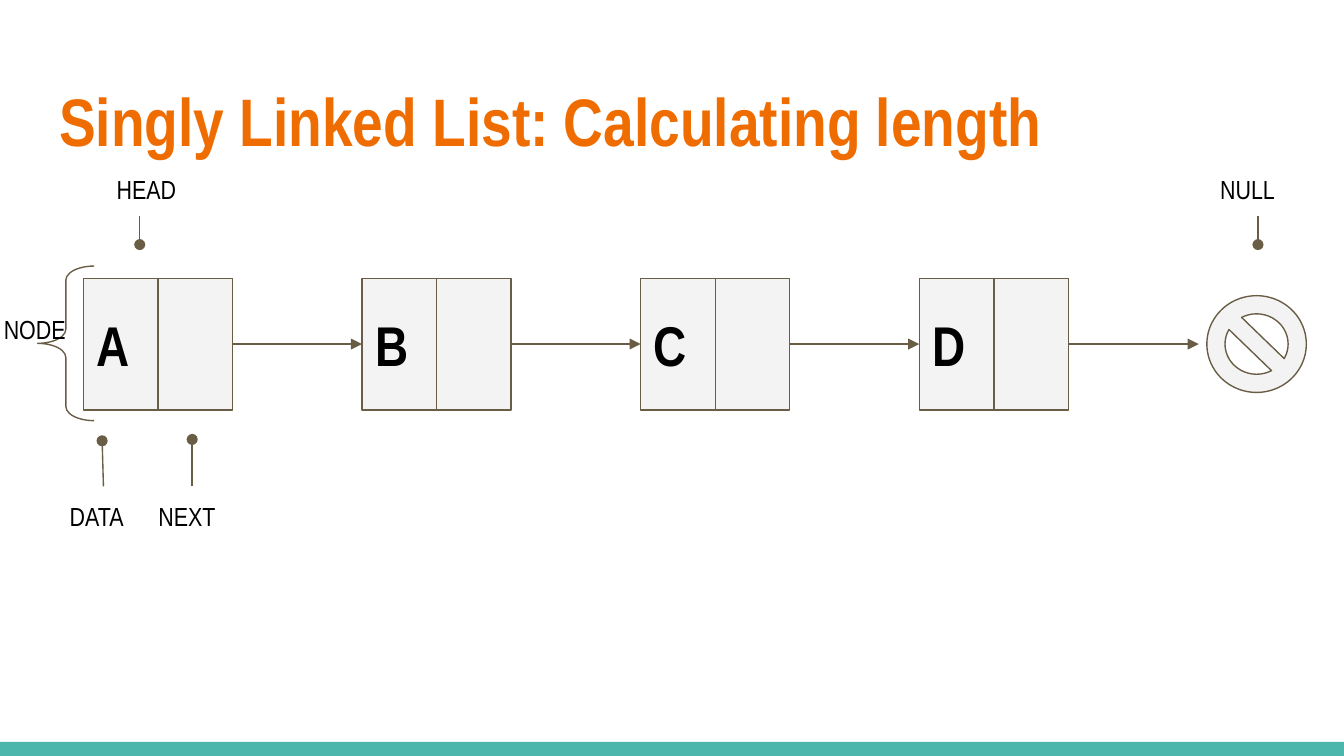
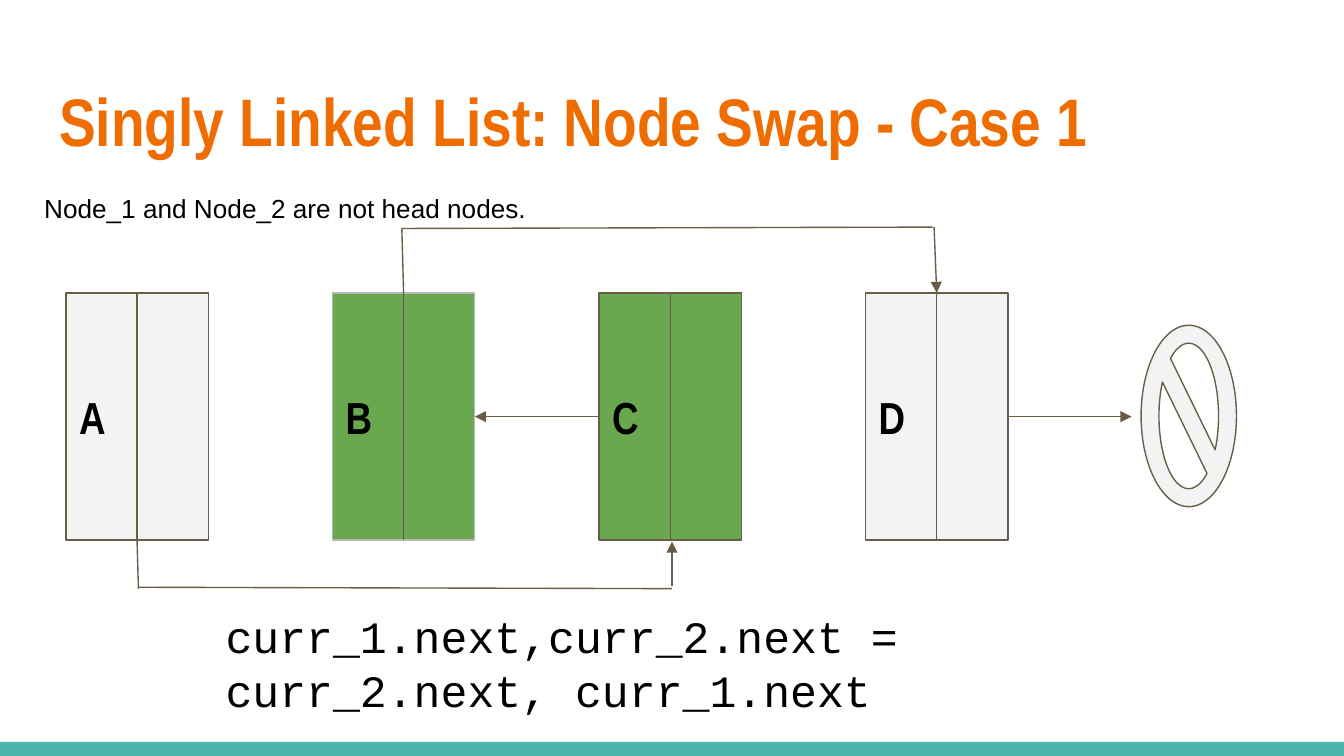
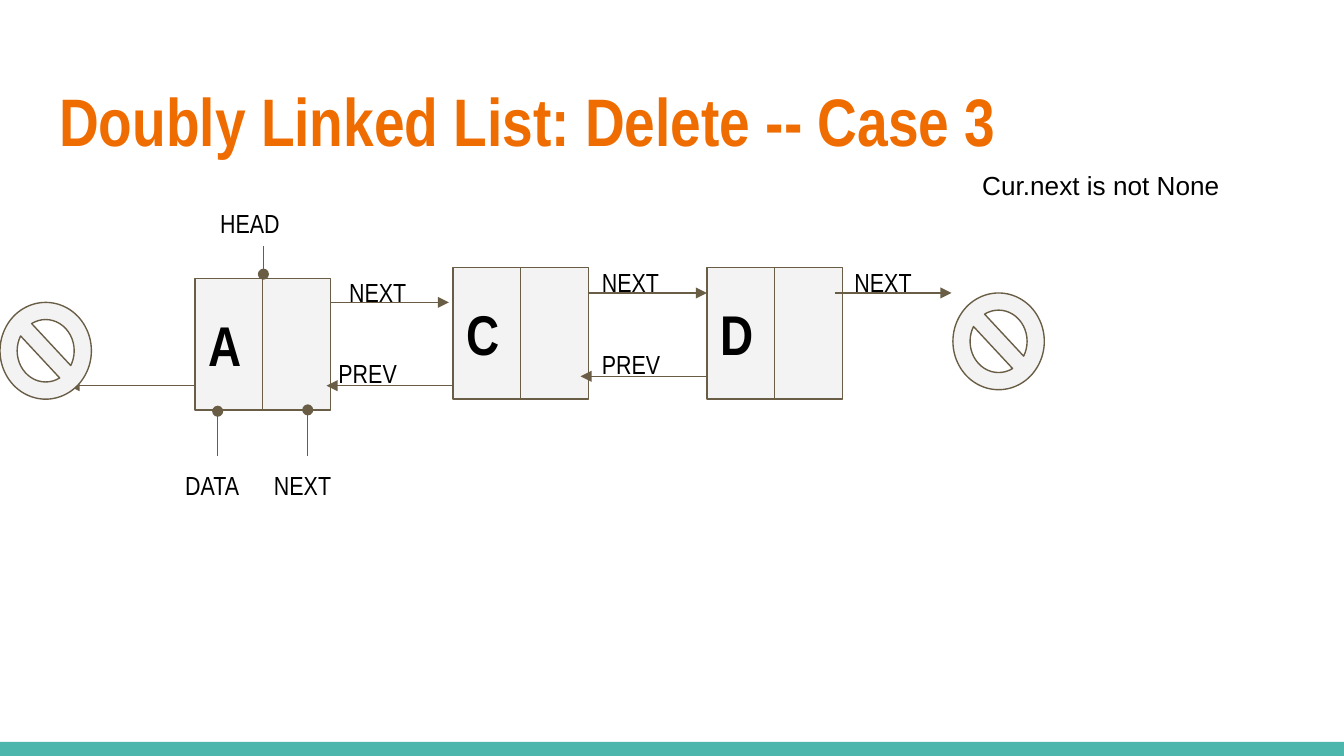
from dataclasses import dataclass
from pptx import Presentation
from pptx.dml.color import RGBColor
from pptx.enum.shapes import MSO_CONNECTOR as Wire, MSO_SHAPE as Form
from pptx.enum.text import MSO_ANCHOR as Anchor, MSO_AUTO_SIZE as Fit, PP_ALIGN as Align
from pptx.oxml.ns import qn
from pptx.util import Inches, Pt
from lxml import etree


@dataclass(frozen=True)
class Theme:
    ink: str = "000000"
    title: str = "EF6C00"
    band: str = "4DB6AC"
    line: str = "695D46"
    pale: str = "F3F3F3"
    green: str = "6AA84F"
    gray: str = "B7B7B7"
    stroke: float = 0.75
    pad: float = 0.1
    head: tuple = ("Arial Narrow", 36, True)
    big: tuple = ("Arial Narrow", 30, True)
    mid: tuple = ("Arial Narrow", 24, True)
    tag: tuple = ("Arial Narrow", 14, False)
    note: tuple = ("Arial", 14, False)
    code: tuple = ("Courier New", 24, False)


THEME = Theme()
WIDE = 10
HIGH = WIDE * 9 / 16
BAND = (0, 5.52, WIDE, HIGH - 5.52)
TITLE = (0.34, 0.49, 9.32, 0.77)

LENGTH = {
    "title": "Singly Linked List: Calculating length",
    "font": THEME.big,
    "node": (1.11, 0.98),
    "rows": [("ABCD", 0.62, 6.84, 2.07)],
    "arrows": [
        (("A", 3), ("B", 1)),
        (("B", 3), ("C", 1)),
        (("C", 3), ("D", 1)),
        (("D", 3), (8.92, 2.56)),
    ],
    "pins": [
        ((1.04, 1.61), (1.04, 1.82)),
        ((9.36, 1.61), (9.36, 1.82)),
        ((0.77, 3.62), (0.76, 3.28)),
        ((1.43, 3.62), (1.43, 3.27)),
    ],
    "nulls": [(8.98, 2.2, 0.74, 0.72)],
    "brace": (0.28, 1.98, 0.42, 1.15),
    "tags": [
        ("HEAD", 0.77, 1.19, 0.96),
        ("NULL", 8.98, 1.19, 0.96),
        ("DATA", 0.42, 3.62, 0.7),
        ("NEXT", 1.08, 3.62, 0.7),
        ("NODE", -0.07, 2.23, 0.96),
    ],
}

SWAP = {
    "title": "Singly Linked List: Node Swap - Case 1",
    "font": THEME.mid,
    "node": (1.06, 1.84),
    "rows": [("ABCD", 0.49, 6.44, 2.18)],
    "paint": {"B": (THEME.green, THEME.gray), "C": (THEME.green, THEME.line)},
    "arrows": [
        (("D", 3), (8.42, 3.1)),
        ((5, 4.36), (5, 4.03)),
        (("C", 1), ("B", 3)),
        ((6.95, 1.69), ("D", 0)),
    ],
    "lines": [
        (("A", 2), (1.03, 4.38)),
        ((1.03, 4.37), (5, 4.38)),
        (("B", 0), (2.99, 1.7)),
        ((2.99, 1.7), (6.94, 1.69)),
    ],
    "nulls": [(8.49, 2.42, 0.71, 1.35)],
    "texts": [
        ("Node_1 and Node_2 are not head nodes.", (0.23, 1.33, 5.51, 0.37), THEME.note),
        ("curr_1.next,curr_2.next = curr_2.next, curr_1.next",
         (1.58, 4.43, 6.47, 0.59), THEME.code),
    ],
}

DELETE = {
    "title": "Doubly Linked List: Delete -- Case 3",
    "font": THEME.big,
    "node": (1.01, 0.98),
    "rows": [("A", 1.45, 1.45, 2.07), ("CD", 3.37, 5.26, 1.99)],
    "arrows": [
        ((2.46, 2.25), (3.34, 2.25)),
        ((3.37, 2.87), (2.43, 2.87)),
        ((1.45, 2.87), (0.51, 2.87)),
        ((4.38, 2.18), (5.26, 2.18)),
        ((6.21, 2.18), (7.08, 2.18)),
        ((5.27, 2.8), (4.32, 2.8)),
    ],
    "pins": [
        ((1.96, 1.83), (1.96, 2.04)),
        ((1.62, 3.39), (1.62, 3.06)),
        ((2.29, 3.39), (2.29, 3.05)),
    ],
    "nulls": [(0, 2.25, 0.68, 0.72), (7.09, 2.18, 0.68, 0.72)],
    "tags": [
        ("HEAD", 1.54, 1.44, 0.96),
        ("DATA", 1.28, 3.39, 0.7),
        ("NEXT", 1.94, 3.39, 0.7),
        ("NEXT", 2.5, 1.96, 0.96),
        ("PREV", 2.42, 2.56, 0.96),
        ("NEXT", 4.38, 1.88, 0.96),
        ("NEXT", 6.26, 1.88, 0.96),
        ("PREV", 4.38, 2.49, 0.96),
    ],
    "texts": [("Cur.next is not None", (7.21, 1.16, 2.1, 0.67), THEME.note)],
}

ENDS = {"lines": None, "arrows": "triangle", "pins": "oval"}


def inch(box):
    return [Inches(part) for part in box]


def rgb(tone):
    return RGBColor.from_string(tone)


def write(shape, text, font, tone=THEME.ink, anchor=Anchor.TOP):
    frame = shape.text_frame
    frame.word_wrap = True
    frame.auto_size = Fit.NONE
    frame.vertical_anchor = anchor
    pad = Inches(THEME.pad)
    frame.margin_left = frame.margin_right = pad
    frame.margin_top = frame.margin_bottom = pad
    para = frame.paragraphs[0]
    para.alignment = Align.LEFT
    run = para.add_run()
    run.text = text
    run.font.name, size, run.font.bold = font
    run.font.size = Pt(size)
    run.font.color.rgb = rgb(tone)


def stroke(line, tone):
    line.color.rgb = rgb(tone)
    line.width = Pt(THEME.stroke)


def draw(slide, form, box, fill=None, edge=None):
    shape = slide.shapes.add_shape(form, *inch(box))
    shape.shadow.inherit = False
    if fill:
        shape.fill.solid()
        shape.fill.fore_color.rgb = rgb(fill)
    else:
        shape.fill.background()
    if edge:
        stroke(shape.line, edge)
    else:
        shape.line.fill.background()
    return shape


def link(slide, nodes, start, stop, end=None):
    spots = [(0, 0) if isinstance(spot[0], str) else spot for spot in (start, stop)]
    wire = slide.shapes.add_connector(Wire.STRAIGHT, *inch(spots[0] + spots[1]))
    for spot, join in ((start, wire.begin_connect), (stop, wire.end_connect)):
        if isinstance(spot[0], str):
            join(nodes[spot[0]], spot[1])
    stroke(wire.line, THEME.line)
    if end:
        etree.SubElement(wire.line._get_or_add_ln(), qn("a:tailEnd"), type=end)
    etree.SubElement(wire._element.spPr, qn("a:effectLst"))


def chain(slide, page):
    nodes = {}
    wide, high = page["node"]
    for names, first, last, top in page["rows"]:
        step = (last - first) / max(len(names) - 1, 1)
        for spot, name in enumerate(names):
            fill, edge = page.get("paint", {}).get(name, (THEME.pale, THEME.line))
            box = (first + spot * step, top, wide, high)
            nodes[name] = draw(slide, Form.RECTANGLE, box, fill, edge)
            write(nodes[name], name, page["font"], anchor=Anchor.MIDDLE)
            link(slide, nodes, (name, 0), (name, 2))
    return nodes


def build(deck, page):
    slide = deck.slides.add_slide(deck.slide_layouts[5])
    title = slide.shapes.title
    title.left, title.top, title.width, title.height = inch(TITLE)
    write(title, page["title"], THEME.head, THEME.title)
    nodes = chain(slide, page)
    for kind, end in ENDS.items():
        for start, stop in page.get(kind, []):
            link(slide, nodes, start, stop, end)
    for box in page["nulls"]:
        sign = draw(slide, Form.NO_SYMBOL, box, THEME.pale, THEME.line)
        sign.adjustments[0] = 0.188
    if "brace" in page:
        brace = draw(slide, Form.LEFT_BRACE, page["brace"], edge=THEME.line)
        brace.adjustments[0] = 0.25
    tags = [(text, (left, top, wide, 0.21), THEME.tag)
            for text, left, top, wide in page.get("tags", [])]
    for text, box, font in tags + page.get("texts", []):
        write(slide.shapes.add_textbox(*inch(box)), text, font)
    return slide


def main():
    deck = Presentation()
    deck.slide_width, deck.slide_height = inch((WIDE, HIGH))
    slides = [build(deck, page) for page in (LENGTH, SWAP, DELETE)]
    band = draw(slides[0], Form.RECTANGLE, BAND, THEME.band)
    deck.slide_master.shapes._spTree.append(band._element)
    deck.save("out.pptx")


if __name__ == "__main__":
    main()
